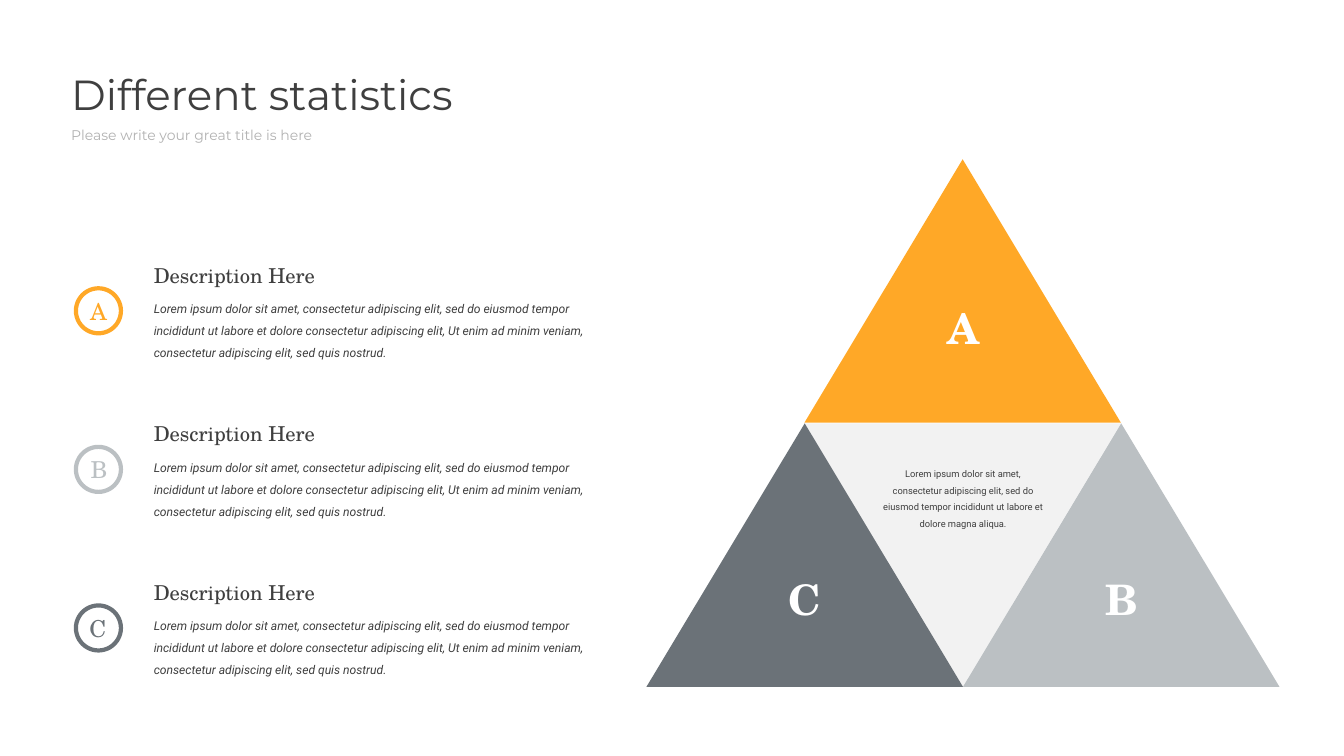
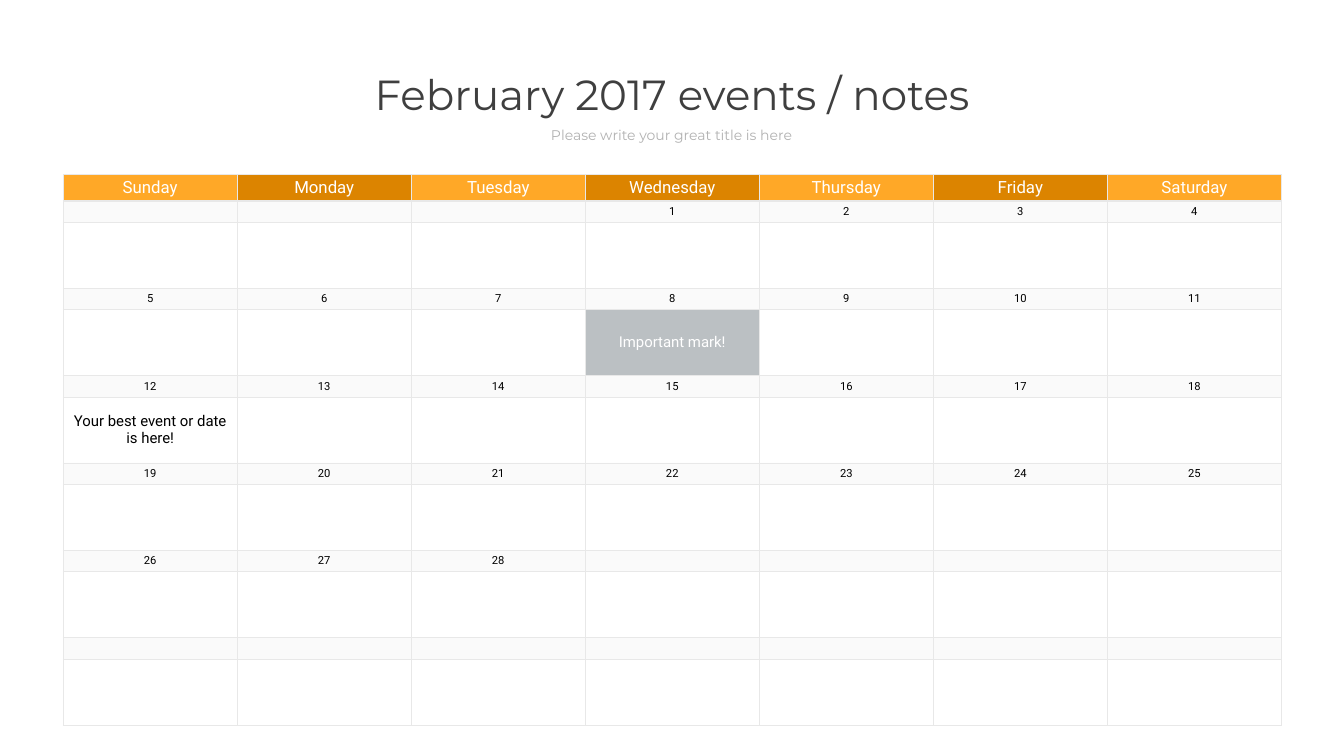
from lxml import etree
from pptx import Presentation
from pptx.dml.color import RGBColor
from pptx.enum.shapes import MSO_SHAPE
from pptx.enum.text import MSO_ANCHOR, MSO_AUTO_SIZE, PP_ALIGN
from pptx.oxml.ns import qn
from pptx.util import Pt

LEFT, MID = PP_ALIGN.LEFT, PP_ALIGN.CENTER
TRI, OVAL = MSO_SHAPE.ISOSCELES_TRIANGLE, MSO_SHAPE.OVAL
FIT, CENTRE = MSO_AUTO_SIZE.SHAPE_TO_FIT_TEXT, MSO_ANCHOR.MIDDLE

PX = 9144  # EMU in one px, 100 px to the inch
INK = {
    "orange": "FFA827", "amber": "DC8400", "slate": "6B7278", "silver": "BBC0C3",
    "pale": "F2F2F2", "rule": "E8E8E8", "text": "3F3F3F", "faint": "B2B2B2",
    "white": "FFFFFF", "black": "000000",
}
RGB = {name: RGBColor.from_string(code) for name, code in INK.items()}
SERIF, SANS, HEAD = "TeX Gyre Schola", "Roboto", "Montserrat"
STYLE = {
    "title": {"name": HEAD, "size": Pt(45)},
    "sub": {"name": HEAD, "size": Pt(15)},
    "label": {"name": SERIF, "size": Pt(22)},
    "badge": {"name": SERIF, "size": Pt(25)},
    "mark": {"name": SERIF, "size": Pt(45), "bold": True},
    "body": {"name": SANS, "size": Pt(13), "italic": True},
    "small": {"name": SANS, "size": Pt(10)},
    "day": {"name": SANS, "size": Pt(18)},
    "date": {"name": SANS, "size": Pt(12)},
    "note": {"name": SANS, "size": Pt(16)},
}


def write(frame, words, style, ink, align=MID, gap=None):
    """Fill a text frame, one paragraph for each line of words."""
    for i, line in enumerate(words.split("\n")):
        par = frame.add_paragraph() if i else frame.paragraphs[0]
        par.alignment, par.line_spacing = align, gap
        run = par.add_run()
        run.text = line
        for key, value in STYLE[style].items():
            setattr(run.font, key, value)
        run.font.color.rgb = RGB[ink]


def label(slide, box, *args):
    """Add a text box at box = (left, top, width, height) in px."""
    frame = slide.shapes.add_textbox(*[n * PX for n in box]).text_frame
    frame.word_wrap = True
    frame.auto_size = FIT
    write(frame, *args)


deck = Presentation()
deck.slide_width, deck.slide_height = 2000 * PX, 1125 * PX
blank = deck.slide_layouts[6]
stats, month = [deck.slides.add_slide(blank) for _ in range(2)]

# Titles: slide, words, alignment, then left and width of title and subtitle
for slide, words, align, left, wide, sub_left, sub_wide in (
    (stats, "Different statistics", LEFT, 96, 705, 96, 462),
    (month, "February 2017 events / notes", MID, 325, 1350, 651, 697),
):
    label(slide, (left, 97, wide, 86), words, "title", "text", align)
    label(slide, (sub_left, 183, sub_wide, 35),
          "Please write your great title is here", "sub", "faint", align)

# Slide 1: pyramid
for left, top, ink, turn in (
    (1197, 630, "pale", 180), (1197, 237, "orange", 0),
    (962, 630, "slate", 0), (1433, 630, "silver", 0),
):
    tri = stats.shapes.add_shape(TRI, left * PX, top * PX, 471 * PX, 392 * PX)
    tri.shadow.inherit = False
    tri.rotation = turn
    tri.fill.solid()
    tri.fill.fore_color.rgb = RGB[ink]
    tri.line.fill.background()

for mark, left, top in (("A", 1388, 445), ("B", 1624, 848), ("C", 1152, 848)):
    label(stats, (left, top, 90, 86), mark, "mark", "white")

LOREM = ("Lorem ipsum dolor sit amet, consectetur adipiscing elit, "
         "sed do eiusmod tempor incididunt ut labore et dolore ")
label(stats, (1302, 683, 262, 111), LOREM + "magna aliqua.",
      "small", "text", MID, 1.5)

# Slide 1: legend
detail = LOREM + ("consectetur adipiscing elit, Ut enim ad minim veniam, "
                  "consectetur adipiscing elit, sed quis nostrud.")
for i, (mark, ink, left) in enumerate(
    (("A", "orange", 122), ("B", "silver", 123), ("C", "slate", 121))
):
    top = 386 + 236 * i
    ring = stats.shapes.add_shape(OVAL, 113 * PX, (top + 43) * PX, 67 * PX, 67 * PX)
    ring.shadow.inherit = False
    ring.fill.background()
    ring.line.color.rgb = RGB[ink]
    ring.line.width = Pt(4.5)
    label(stats, (left, top + 51, 49, 52), mark, "badge", ink)
    label(stats, (219, top, 304, 47), "Description Here", "label", "text", LEFT)
    label(stats, (219, top + 47, 680, 109), detail, "body", "text", LEFT, 1.5)

# Slide 2: calendar
DAYS = ("Sunday", "Monday", "Tuesday", "Wednesday", "Thursday", "Friday", "Saturday")
START, LAST = 3, 28  # column of the 1st, last date
NOTES = {
    (4, 3): ("Important mark!", "white", "silver"),
    (6, 0): ("Your best event or date\nis here!", "black", "white"),
}
highs = [39] + [32, 98] * 6
grid = month.shapes.add_table(len(highs), len(DAYS), 94 * PX, 260 * PX,
                              1813 * PX, sum(highs) * PX).table
grid.first_row = grid.horz_banding = False
for col in grid.columns:
    col.width = 259 * PX
for r, high in enumerate(highs):
    grid.rows[r].height = high * PX
    for c, day in enumerate(DAYS):
        cell = grid.cell(r, c)
        cell.vertical_anchor = CENTRE
        cell.margin_left = cell.margin_right = cell.margin_top = cell.margin_bottom = 0
        props = cell._tc.get_or_add_tcPr()
        for side in ("lnL", "lnR", "lnT", "lnB"):
            wide = 2 if r == 0 and side == "lnB" else 1
            edge = etree.SubElement(props, qn("a:" + side), w=str(Pt(wide)))
            paint = etree.SubElement(edge, qn("a:solidFill"))
            etree.SubElement(paint, qn("a:srgbClr"), val=INK["rule"])

        words, style, ink, fill = "", "date", "black", "rule"
        if r == 0:
            words, style, ink = day, "day", "white"
            fill = "amber" if c % 2 else "orange"
        elif r % 2:
            date = r // 2 * 7 + c - START + 1
            words = str(date) if 1 <= date <= LAST else ""
        else:
            style = "note"
            words, ink, fill = NOTES.get((r, c), ("", "black", "white"))
        if words:
            write(cell.text_frame, words, style, ink)
        cell.fill.solid()
        cell.fill.fore_color.rgb = RGB[fill]
        if fill == "rule":
            tint = props.find(qn("a:solidFill")).find(qn("a:srgbClr"))
            etree.SubElement(tint, qn("a:alpha"), val="20000")

deck.save("out.pptx")
